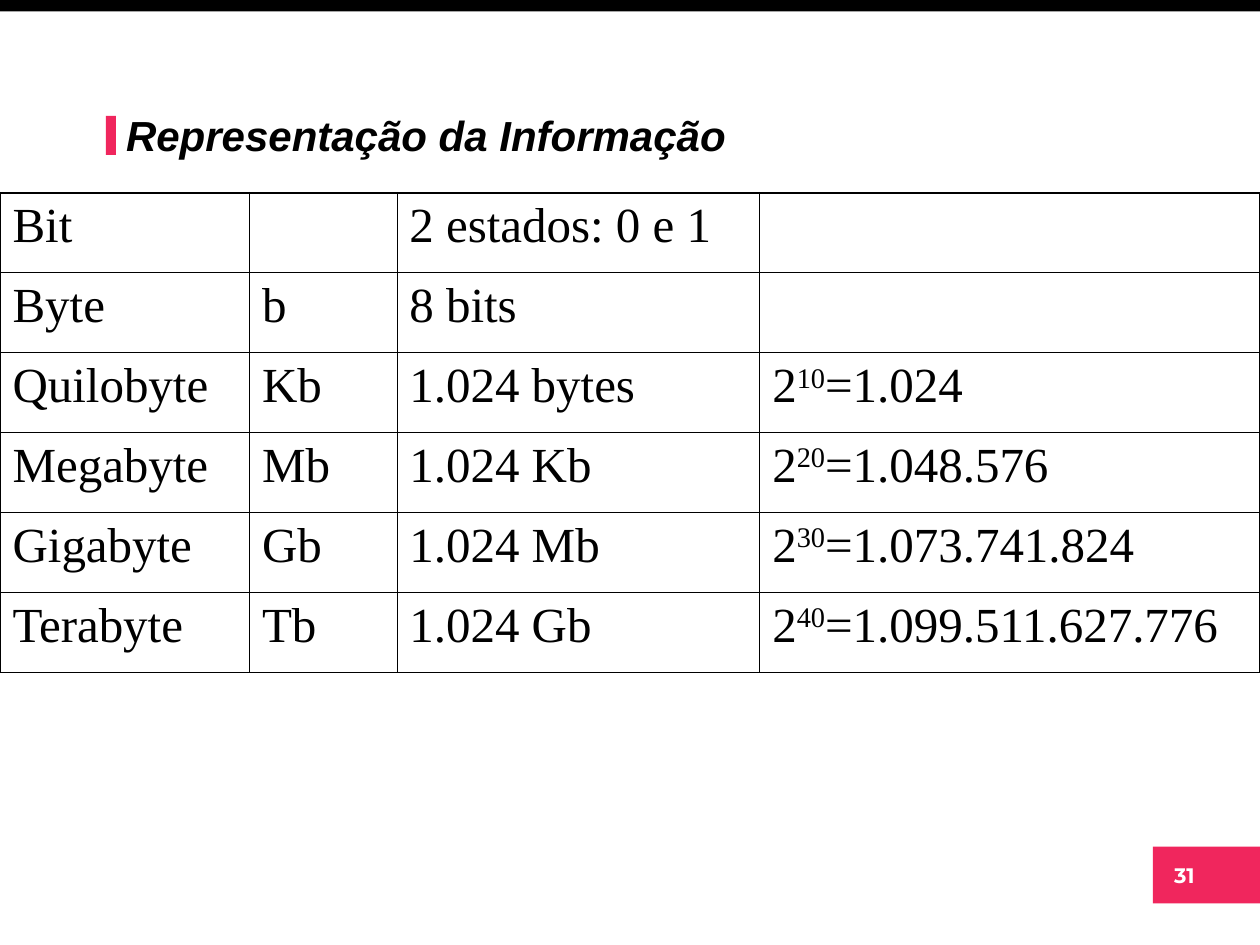
from lxml import etree
from pptx import Presentation
from pptx.dml.color import RGBColor
from pptx.enum.shapes import MSO_SHAPE
from pptx.enum.text import MSO_ANCHOR, MSO_AUTO_SIZE, PP_ALIGN
from pptx.oxml.ns import qn
from pptx.util import Inches, Pt

RECT = MSO_SHAPE.RECTANGLE
BOTTOM, MIDDLE = MSO_ANCHOR.BOTTOM, MSO_ANCHOR.MIDDLE
LEFT, CENTER = PP_ALIGN.LEFT, PP_ALIGN.CENTER
FIXED = MSO_AUTO_SIZE.NONE

WIDTH, HEIGHT = 10, 7.5
BLACK, WHITE, PINK = "000000", "FFFFFF", "F0265D"
OUTER_LINE, INNER_LINE = 1.08, 0.45

COLUMN_SHARES = [0.198, 0.117, 0.288, 0.397]
# Unit, symbol, equivalence, (power of two, value in full)
UNITS = [
    ("Bit", "", "2 estados: 0 e 1", None),
    ("Byte", "b", "8 bits", None),
    ("Quilobyte", "Kb", "1.024 bytes", ("10", "1.024")),
    ("Megabyte", "Mb", "1.024 Kb", ("20", "1.048.576")),
    ("Gigabyte", "Gb", "1.024 Mb", ("30", "1.073.741.824")),
    ("Terabyte", "Tb", "1.024 Gb", ("40", "1.099.511.627.776")),
]


def color(value):
    return RGBColor.from_string(value)


def inches(box):
    return [Inches(length) for length in box]


def add_run(paragraph, text, name, size, hue, **formats):
    run = paragraph.add_run()
    run.text = text
    run.font.color.rgb = color(hue)
    for key, value in dict(name=name, size=Pt(size), **formats).items():
        setattr(run.font, key, value)
    return run


def add_bar(slide, box, hue):
    bar = slide.shapes.add_shape(RECT, *inches(box))
    bar.shadow.inherit = False
    bar.fill.solid()
    bar.fill.fore_color.rgb = color(hue)
    bar.line.fill.background()


def add_heading(slide, box, text):
    left, top, width, height = box
    add_bar(slide, (left - 0.06, top + 0.45, 0.08, 0.31), PINK)
    title = slide.shapes.title
    title.left, title.top, title.width, title.height = inches(box)
    frame = title.text_frame
    settings = {"auto_size": FIXED, "word_wrap": True, "vertical_anchor": BOTTOM,
                "margin_bottom": Inches(0.03)}
    for key, value in settings.items():
        setattr(frame, key, value)
    paragraph = frame.paragraphs[0]
    paragraph.alignment = LEFT
    add_run(paragraph, text, "Arial", 24, BLACK, bold=True, italic=True)


def add_page_number(slide, box, number):
    left, top, width, height = box
    add_bar(slide, box, PINK)
    label = slide.shapes.add_textbox(*inches((left - 0.28, top + 0.06, 1.06, 0.33)))
    frame = label.text_frame
    frame.word_wrap = False
    frame.vertical_anchor = MIDDLE
    paragraph = frame.paragraphs[0]
    paragraph.alignment = CENTER
    add_run(paragraph, number, "Montserrat", 12, WHITE, bold=True)


def set_borders(cell, widths):
    """Draw the borders of a cell; widths go left, right, top, bottom."""
    properties = cell._tc.get_or_add_tcPr()
    for side, width in zip("LRTB", widths):
        line = etree.SubElement(properties, qn(f"a:ln{side}"), w=str(int(Pt(width))))
        fill = etree.SubElement(line, qn("a:solidFill"))
        etree.SubElement(fill, qn("a:srgbClr"), val=BLACK)


def fill_cell(cell, content):
    paragraph = cell.text_frame.paragraphs[0]
    style = ("Times New Roman", 28, BLACK)
    if isinstance(content, tuple):
        exponent, value = content
        add_run(paragraph, "2", *style)
        power = add_run(paragraph, exponent, *style)
        power._r.get_or_add_rPr().set("baseline", "30000")
        add_run(paragraph, f"={value}", *style)
    elif content:
        add_run(paragraph, content, *style)


def add_units_table(slide, box, units):
    rows, columns = len(units), len(COLUMN_SHARES)
    table = slide.shapes.add_table(rows, columns, *inches(box)).table
    table.first_row = table.horz_banding = False
    for column, share in zip(table.columns, COLUMN_SHARES):
        column.width = Inches(box[2] * share)
    for r, unit in enumerate(units):
        table.rows[r].height = Inches(box[3] / rows)
        for c, content in enumerate(unit):
            cell = table.cell(r, c)
            on_edge = (c == 0, c == columns - 1, r == 0, r == rows - 1)
            set_borders(cell, [OUTER_LINE if edge else INNER_LINE for edge in on_edge])
            cell.fill.background()
            fill_cell(cell, content)


def main():
    deck = Presentation()
    deck.slide_width, deck.slide_height = inches((WIDTH, HEIGHT))
    slide = deck.slides.add_slide(deck.slide_layouts[5])
    add_bar(slide, (0, 0, WIDTH, 0.09), BLACK)
    add_page_number(slide, (9.15, 6.72, WIDTH - 9.15, 0.45), "31")
    add_units_table(slide, (0, 1.53, WIDTH, 3.81), UNITS)
    add_heading(slide, (0.9, 0.47, 0.85 * WIDTH, 0.83), "Representação da Informação")
    deck.save("out.pptx")


if __name__ == "__main__":
    main()
